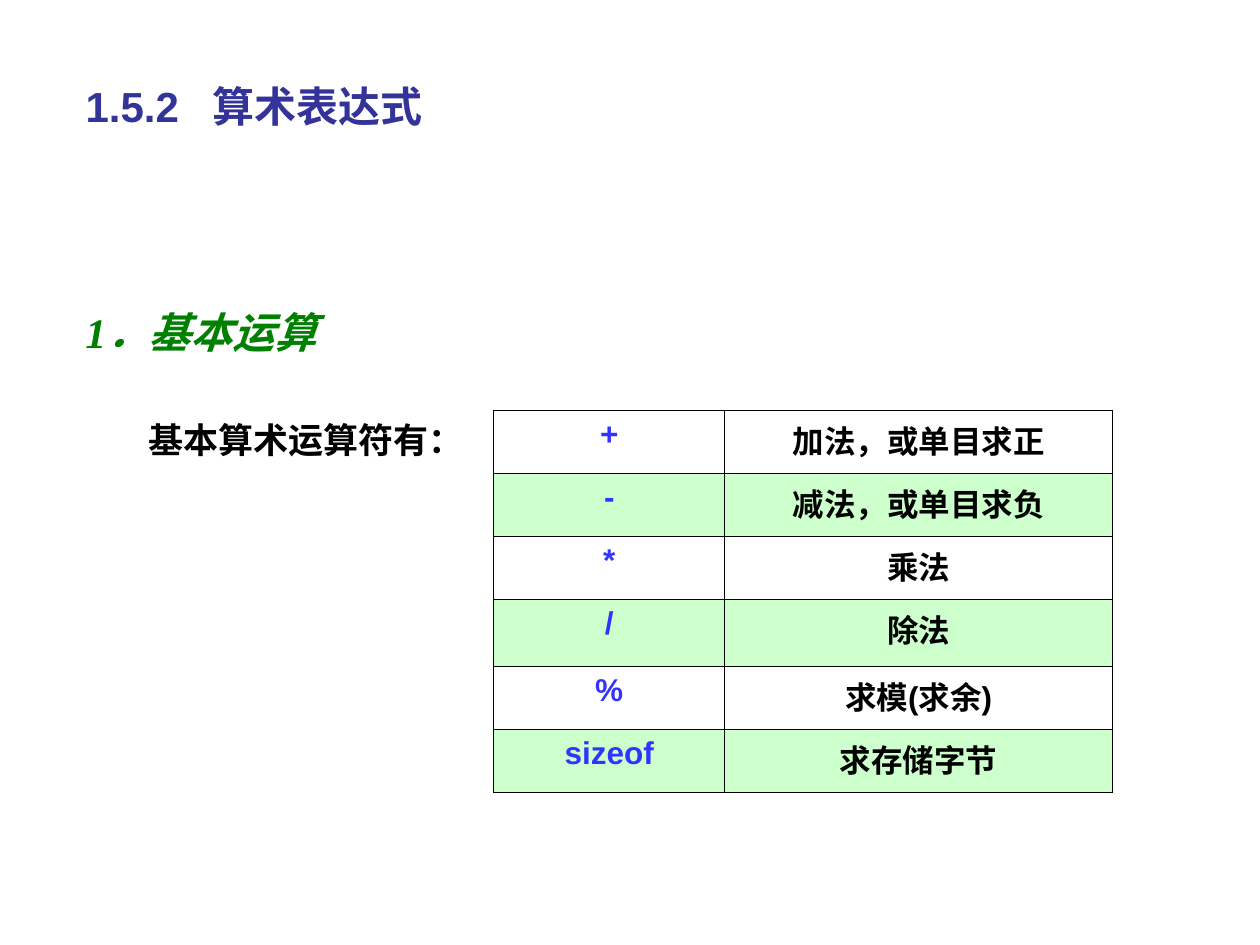
from lxml import etree
from pptx import Presentation, util as u
from pptx.dml.color import RGBColor
from pptx.enum import text
from pptx.oxml.ns import qn

# Content
TITLE = "1.5.2\t算术表达式"
HEADING = "1．基本运算"
INTRO = "基本算术运算符有："
OPERATORS = [
    ("+", "加法，或单目求正"),
    ("-", "减法，或单目求负"),
    ("*", "乘法"),
    ("/", "除法"),
    ("%", "求模(求余)"),
    ("sizeof", "求存储字节"),
]
COLORS = {"title": "333399", "heading": "008000", "text": "000000",
          "symbol": "3333FF", "plain": "FFFFFF", "band": "CCFFCC"}
COL_WIDTHS = (1.83, 3.08)
ROW_HEIGHTS = (0.5, 0.5, 0.5, 0.53, 0.5, 0.5)
LEFT = 0.58


def box(left, top, width, height):
    return [u.Inches(v) for v in (left, top, width, height)]


def write(tf, words, font, size, color, italic=False):
    tf.text = words
    p = tf.paragraphs[0]
    f = p.runs[0].font
    f.name, f.size, f.bold, f.italic = font, u.Pt(size), True, italic
    f.color.rgb = RGBColor.from_string(COLORS[color])
    return p


def add_border(cell, side, points):
    ln = etree.SubElement(cell._tc.get_or_add_tcPr(), qn(f"a:ln{side}"),
                          w=str(u.Pt(points)))
    fill = etree.SubElement(ln, qn("a:solidFill"))
    etree.SubElement(fill, qn("a:srgbClr"), val=COLORS["text"])


prs = Presentation()
prs.slide_width, prs.slide_height = u.Inches(10), u.Inches(7.5)
s = prs.slides.add_slide(prs.slide_layouts[5])

# Title, with a tab stop between number and name
title = s.shapes.title
title.left, title.top, title.width, title.height = box(LEFT, 0.42, 8.25, 0.83)
tf = title.text_frame
tf.vertical_anchor = text.MSO_ANCHOR.MIDDLE
p = write(tf, TITLE, "Arial", 24, "title")
p.alignment = text.PP_ALIGN.LEFT
tabs = etree.SubElement(p._p.get_or_add_pPr(), qn("a:tabLst"))
etree.SubElement(tabs, qn("a:tab"), pos=str(u.Inches(1.01)), algn="l")

# Operator table
t = s.shapes.add_table(len(OPERATORS), len(COL_WIDTHS),
                       *box(3.92, 3.26, sum(COL_WIDTHS), sum(ROW_HEIGHTS))).table
t.first_row = t.horz_banding = False
for col, width in zip(t.columns, COL_WIDTHS):
    col.width = u.Inches(width)
for i, (row, height) in enumerate(zip(t.rows, ROW_HEIGHTS)):
    row.height = u.Inches(height)
    for j, words in enumerate(OPERATORS[i]):
        cell = t.cell(i, j)
        p = write(cell.text_frame, words, "Arial", 18, ("symbol", "text")[j])
        p.alignment = text.PP_ALIGN.CENTER
        inner = "RL"[j]
        for side in "LRTB":
            add_border(cell, side, 0.45 if side == inner else 0.75)
        cell.fill.solid()
        cell.fill.fore_color.rgb = RGBColor.from_string(
            COLORS["band" if i % 2 else "plain"])

# Introductory line beside the table
tf = s.shapes.add_textbox(*box(1.08, 3.27, 2.7, 0.44)).text_frame
tf.word_wrap = False
tf.auto_size = text.MSO_AUTO_SIZE.SHAPE_TO_FIT_TEXT
write(tf, INTRO, "Times New Roman", 20, "text")

# Section heading
tf = s.shapes.add_textbox(*box(LEFT, 2.06, 8.67, 0.82)).text_frame
tf.word_wrap = True
tf.auto_size = text.MSO_AUTO_SIZE.SHAPE_TO_FIT_TEXT
p = write(tf, HEADING, "Times New Roman", 24, "heading", italic=True)
p.line_spacing = 1.8

prs.save("out.pptx")
